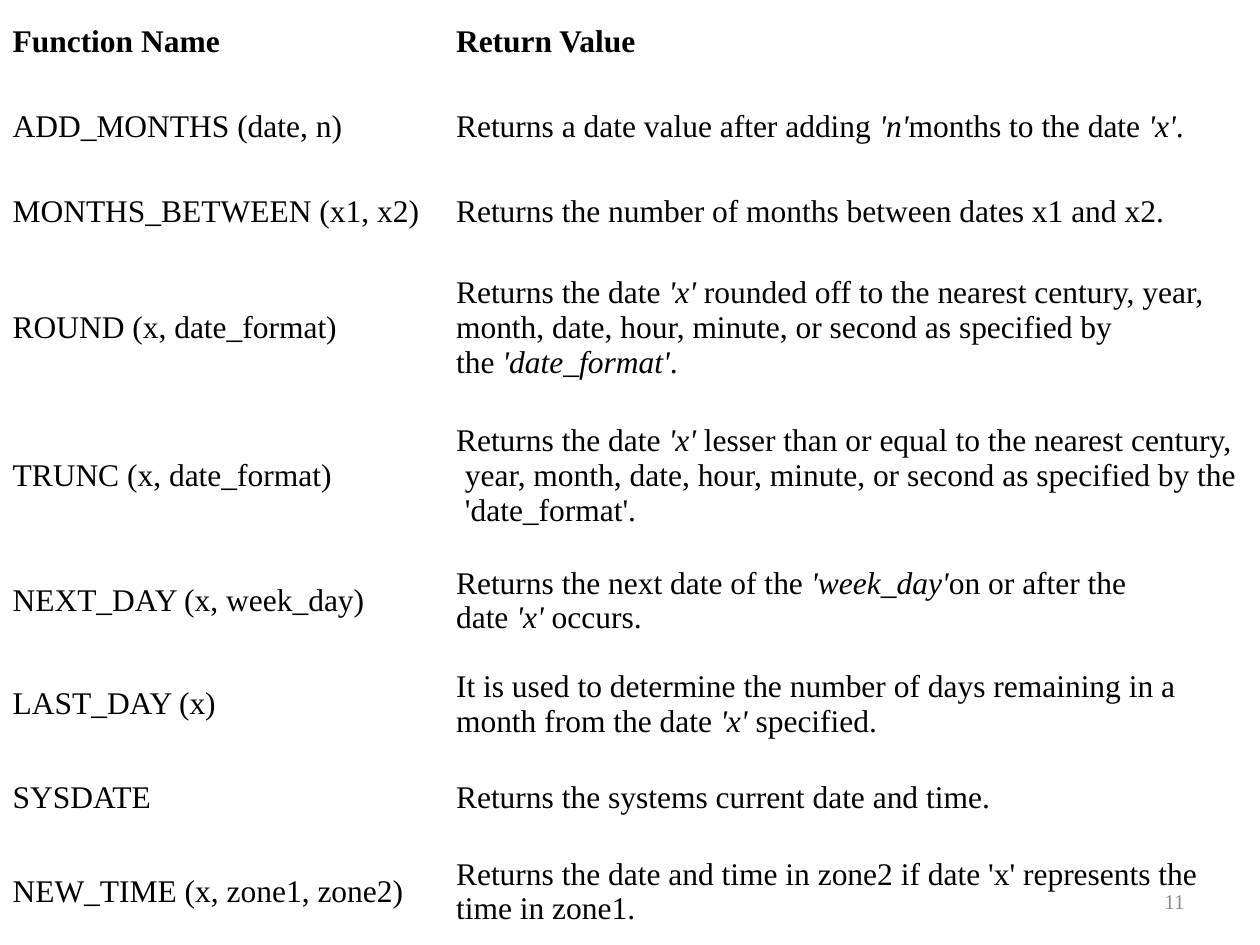
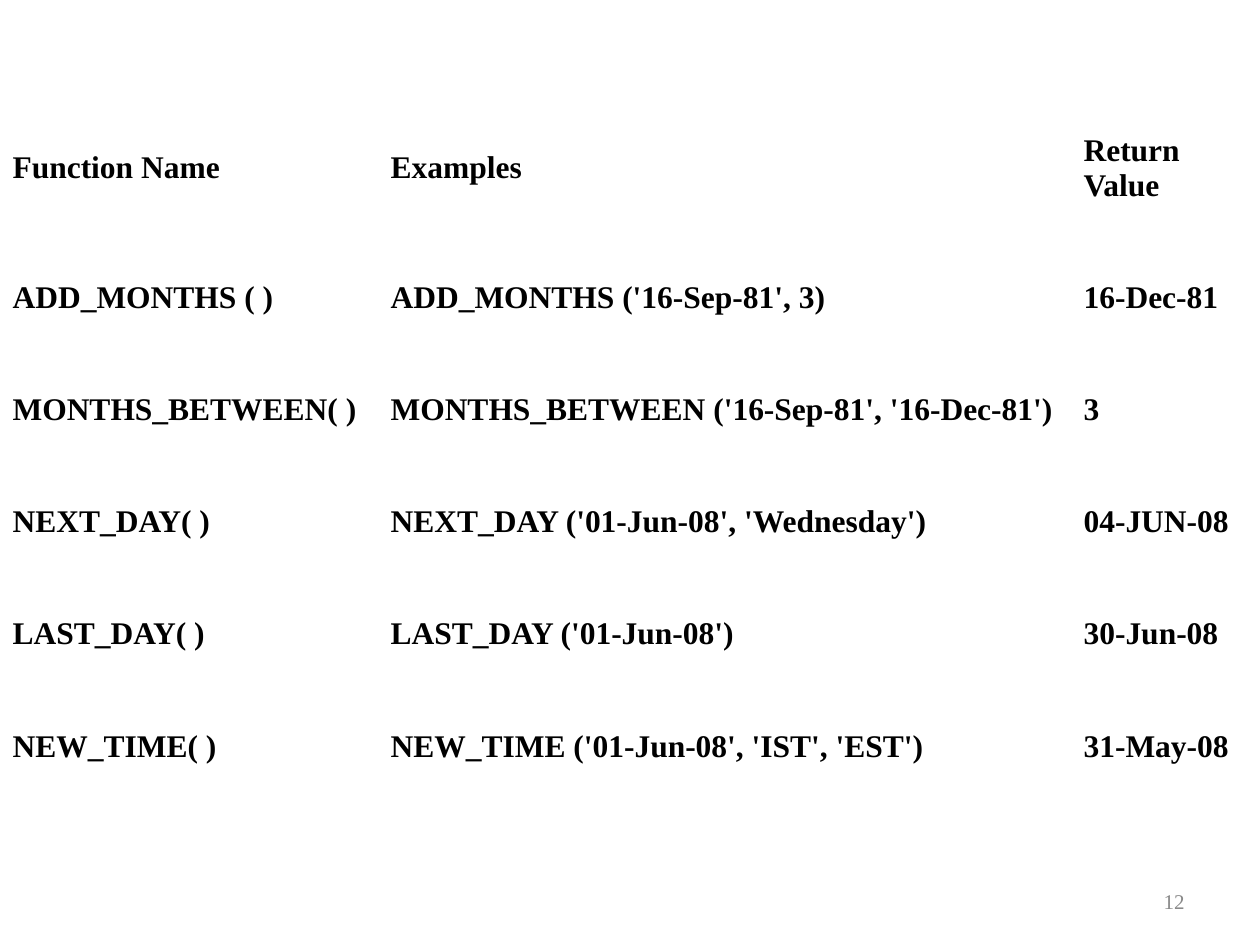
from dataclasses import dataclass, field

from pptx import Presentation
from pptx.dml.color import RGBColor
from pptx.enum.text import MSO_ANCHOR, PP_ALIGN
from pptx.oxml.ns import qn
from pptx.util import Pt

PX = 9144  # EMU per px, 100 px to the inch
MIDDLE, RIGHT = MSO_ANCHOR.MIDDLE, PP_ALIGN.RIGHT
FONT = "Times New Roman"
COLORS = {"text": "000000", "number": "898989"}
NO_STYLE = "{2D5ABB26-0587-4C30-8999-92F81FD0307C}"
HANG = 38  # usual hanging indent of a cell
NBSP = chr(160)


@dataclass
class FunctionTable:
    top: int
    columns: list[int]
    heights: list[int]
    rows: list[tuple[str, ...]]  # *...* marks italics
    bold_rows: int
    hangs: dict[tuple[int, int], int] = field(default_factory=dict)


def style(p, size: int, color: str, bold: bool = False) -> None:
    p.font.name, p.font.size, p.font.bold = FONT, Pt(size), bold
    p.font.color.rgb = RGBColor.from_string(COLORS[color])


def add_runs(p, text: str) -> None:
    # Spaces beside an italic name do not break
    text = text.replace(" *", NBSP + "*").replace("* ", "*" + NBSP)
    for i, part in enumerate(text.split("*")):
        r = p.add_run()
        r.text = part
        if i % 2:
            r.font.italic = True


def fill_cell(cell, text: str, bold: bool, hang: int) -> None:
    cell.fill.background()
    cell.vertical_anchor = MIDDLE
    p = cell.text_frame.paragraphs[0]
    style(p, 18, "text", bold)
    add_runs(p, text)
    pPr = p._p.get_or_add_pPr()
    pPr.set("marL", str(hang * PX))
    pPr.set("indent", str(-hang * PX))


def add_function_table(s, spec: FunctionTable) -> None:
    frame = s.shapes.add_table(len(spec.rows), len(spec.columns), 0, spec.top * PX,
                               sum(spec.columns) * PX, sum(spec.heights) * PX)
    frame.element.find(".//" + qn("a:tableStyleId")).text = NO_STYLE
    table = frame.table
    table.horz_banding = False
    for column, width in zip(table.columns, spec.columns):
        column.width = width * PX
    for i, (height, texts) in enumerate(zip(spec.heights, spec.rows)):
        table.rows[i].height = height * PX
        for j, text in enumerate(texts):
            fill_cell(table.cell(i, j), text, i < spec.bold_rows,
                      spec.hangs.get((i, j), HANG))


def add_slide_number(s, number: int) -> None:
    tf = s.shapes.add_textbox(717 * PX, 695 * PX, 233 * PX, 40 * PX).text_frame
    tf.word_wrap = True
    tf.vertical_anchor = MIDDLE
    p = tf.paragraphs[0]
    p.text = str(number)
    p.alignment = RIGHT
    style(p, 12, "number")


# Date functions and what they return
DESCRIPTIONS = FunctionTable(
    top=0,
    columns=[352, 648],
    heights=[67, 67, 68, 117, 117, 82, 82, 67, 82],
    bold_rows=1,
    hangs={(3, 1): 0, (4, 1): 7, (5, 1): 0, (6, 1): 0, (8, 1): 0},
    rows=[
        ("Function Name", "Return Value"),
        ("ADD_MONTHS (date, n)",
         "Returns a date value after adding *'n'*months to the date *'x'*."),
        ("MONTHS_BETWEEN (x1, x2)",
         "Returns the number of months between dates x1 and x2."),
        ("ROUND (x, date_format)",
         "Returns the date *'x'* rounded off to the nearest century, year, month, date, "
         "hour, minute, or second as specified by the *'date_format'*."),
        ("TRUNC (x, date_format)",
         "Returns the date *'x'* lesser than or equal to the nearest century, year, month, "
         "date, hour, minute, or second as specified by the 'date_format'."),
        ("NEXT_DAY (x, week_day)",
         "Returns the next date of the *'week_day'*on or after the date *'x'* occurs."),
        ("LAST_DAY (x)",
         "It is used to determine the number of days remaining in a month "
         "from the date *'x'* specified."),
        ("SYSDATE", "Returns the systems current date and time."),
        ("NEW_TIME (x, zone1, zone2)",
         "Returns the date and time in zone2 if date 'x' represents the time in zone1."),
    ],
)

# Example calls
EXAMPLES = FunctionTable(
    top=75,
    columns=[300, 550, 150],
    heights=[117] + [89] * 5,
    bold_rows=6,
    hangs={(0, 2): 0},
    rows=[
        ("Function Name", "Examples", "Return Value"),
        ("ADD_MONTHS ( )", "ADD_MONTHS ('16-Sep-81', 3)", "16-Dec-81"),
        ("MONTHS_BETWEEN( )", "MONTHS_BETWEEN ('16-Sep-81', '16-Dec-81')", "3"),
        ("NEXT_DAY( )", "NEXT_DAY ('01-Jun-08', 'Wednesday')", "04-JUN-08"),
        ("LAST_DAY( )", "LAST_DAY ('01-Jun-08')", "30-Jun-08"),
        ("NEW_TIME( )", "NEW_TIME ('01-Jun-08', 'IST', 'EST')", "31-May-08"),
    ],
)


def main() -> None:
    prs = Presentation()
    prs.slide_width, prs.slide_height = 1000 * PX, 750 * PX
    for number, spec in enumerate((DESCRIPTIONS, EXAMPLES), start=11):
        s = prs.slides.add_slide(prs.slide_layouts[6])
        add_function_table(s, spec)
        add_slide_number(s, number)
    prs.save("out.pptx")


if __name__ == "__main__":
    main()
